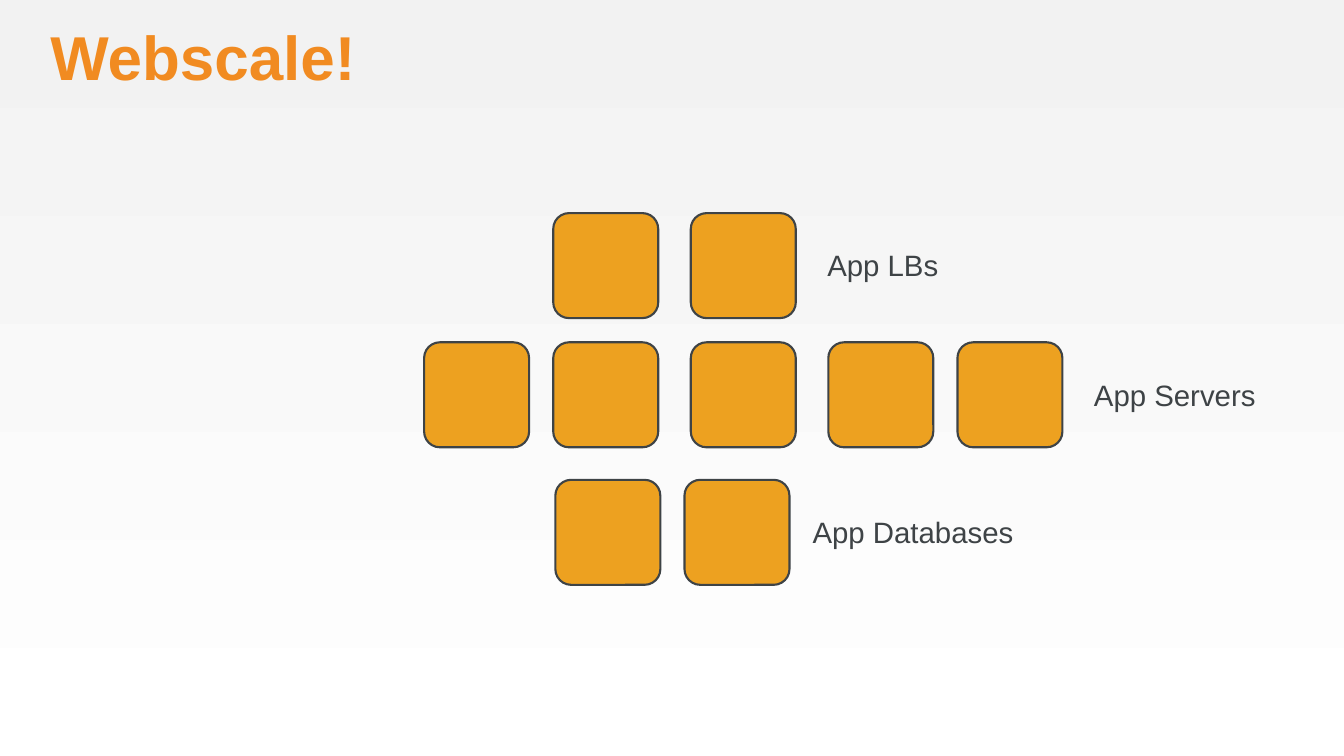
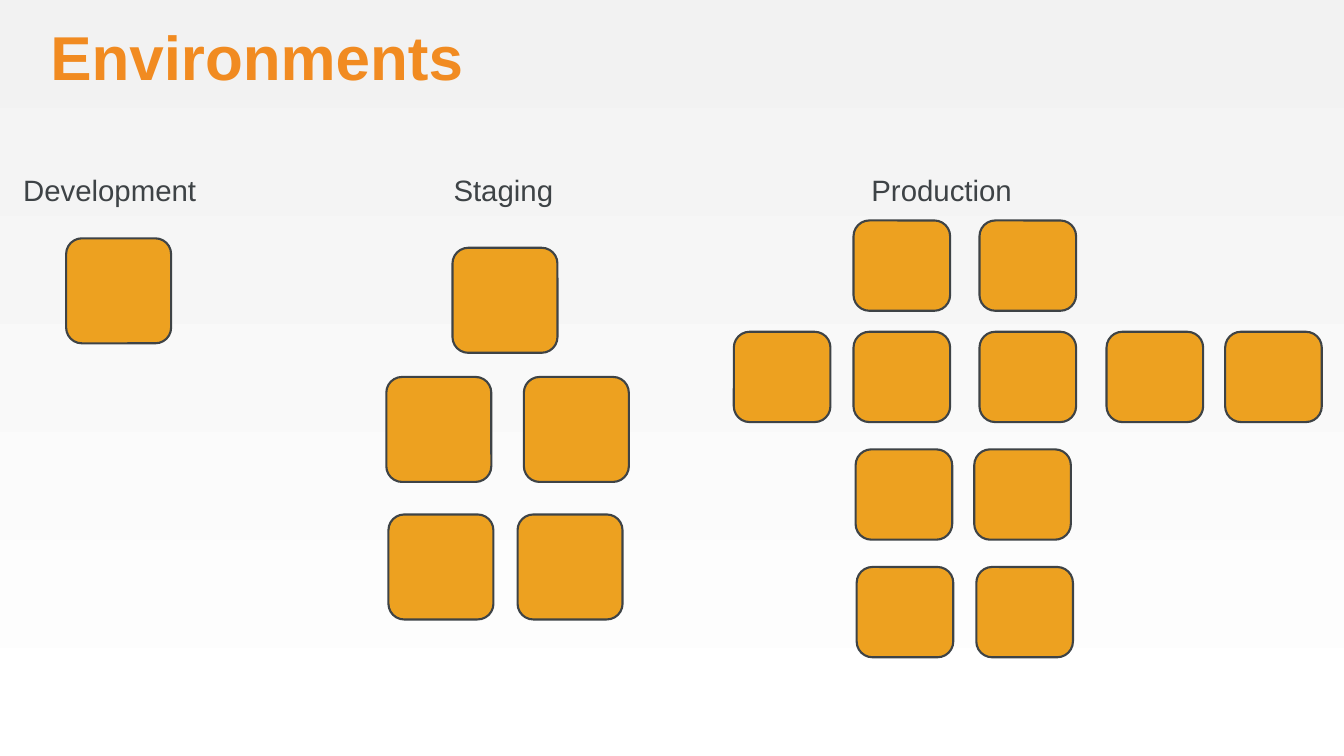
from dataclasses import dataclass
from pptx import Presentation
from pptx.dml.color import RGBColor
from pptx.enum.shapes import MSO_SHAPE as Form
from pptx.enum.text import MSO_ANCHOR as Anchor, PP_ALIGN as Align, MSO_AUTO_SIZE as Auto
from pptx.slide import Slide
from pptx.util import Pt

HUES = {"title": "F18B21", "ink": "3E4346", "box": "EDA120", "top": "F2F2F2", "base": "FFFFFF"}
TITLE_ONLY = 5


def hue(name: str) -> RGBColor:
    return RGBColor.from_string(HUES[name])


# Formats shared by both slides
FLAT = {"margin_left": 0, "margin_right": 0, "margin_top": 0, "margin_bottom": 0}
FRAMES = {
    "title": FLAT | {"vertical_anchor": Anchor.BOTTOM, "word_wrap": True, "auto_size": Auto.NONE},
    "label": FLAT | {"vertical_anchor": Anchor.MIDDLE, "word_wrap": False},
}
FONTS = {
    "title": {"name": "Arial", "size": Pt(59), "bold": True},
    "label": {"name": "Arial", "size": Pt(28), "bold": False},
}


@dataclass(frozen=True)
class Size:
    wide: float
    high: float
    curve: float


@dataclass(frozen=True)
class Row:
    top: float
    lefts: tuple[float, ...]
    size: Size


@dataclass(frozen=True)
class Label:
    text: str
    left: float
    top: float
    wide: float
    high: float = 34


@dataclass(frozen=True)
class Page:
    title: str
    rows: tuple[Row, ...]
    labels: tuple[Label, ...]


LARGE = Size(100, 100, 0.15)
SMALL = Size(92, 86, 0.175)
APP = (404, 527, 658, 789, 912)    # server columns
PROD = (699, 813, 933, 1054, 1167)  # production columns

PAGES = (
    Page("Webscale!", (
        Row(203, APP[1:3], LARGE),
        Row(326, APP, LARGE),
        Row(457, (529, 652), LARGE),
    ), (
        Label("App LBs", 788, 235.5, 108),
        Label("App Servers", 1042, 358.5, 156),
        Label("App Databases", 774, 489.5, 194),
    )),
    Page("Environments", (
        Row(227, (63,), LARGE),
        Row(236, (431,), LARGE),
        Row(359, (368, 499), LARGE),
        Row(490, (370, 493), LARGE),
        Row(210, PROD[1:3], SMALL),
        Row(316, PROD, SMALL),
        Row(428, (815, 928), SMALL),
        Row(540, (816, 930), SMALL),
    ), (
        Label("Development", 22, 163.5, 166),
        Label("Staging", 432, 163.5, 96),
        Label("Production", 830, 160, 173, 42),
    )),
)


def assign(item: object, values: dict) -> None:
    for key, value in values.items():
        setattr(item, key, value)


def write(shape, text: str, style: str, tint: str) -> None:
    frame = shape.text_frame
    frame.text = text
    assign(frame, FRAMES[style])
    line = frame.paragraphs[0]
    line.alignment = Align.LEFT
    line.line_spacing = 0.9 if style == "title" else 1.0
    assign(line.font, FONTS[style])
    line.font.color.rgb = hue(tint)


def draw_title(slide: Slide, text: str) -> None:
    title = slide.shapes.title
    assign(title, {"left": Pt(48), "top": Pt(24), "width": Pt(1176), "height": Pt(65.5)})
    write(title, text, "title", "title")


def draw_row(slide: Slide, row: Row) -> None:
    size = row.size
    for left in row.lefts:
        box = slide.shapes.add_shape(
            Form.ROUNDED_RECTANGLE, Pt(left), Pt(row.top), Pt(size.wide), Pt(size.high))
        box.adjustments[0] = size.curve
        box.shadow.inherit = False
        box.fill.solid()
        box.fill.fore_color.rgb = hue("box")
        box.line.color.rgb = hue("ink")
        box.line.width = Pt(2)


def draw_label(slide: Slide, label: Label) -> None:
    box = slide.shapes.add_textbox(
        Pt(label.left), Pt(label.top), Pt(label.wide), Pt(label.high))
    write(box, label.text, "label", "ink")


def main() -> None:
    deck = Presentation()
    assign(deck, {"slide_width": Pt(1280.16), "slide_height": Pt(720)})

    # Shared background, shaded from top to bottom
    fill = deck.slide_master.background.fill
    fill.gradient()
    fill.gradient_angle = 270
    for stop, name in zip(fill.gradient_stops, ("top", "base")):
        stop.color.rgb = hue(name)

    # Slides
    for page in PAGES:
        slide = deck.slides.add_slide(deck.slide_layouts[TITLE_ONLY])
        draw_title(slide, page.title)
        for row in page.rows:
            draw_row(slide, row)
        for label in page.labels:
            draw_label(slide, label)

    deck.save("out.pptx")


if __name__ == "__main__":
    main()
